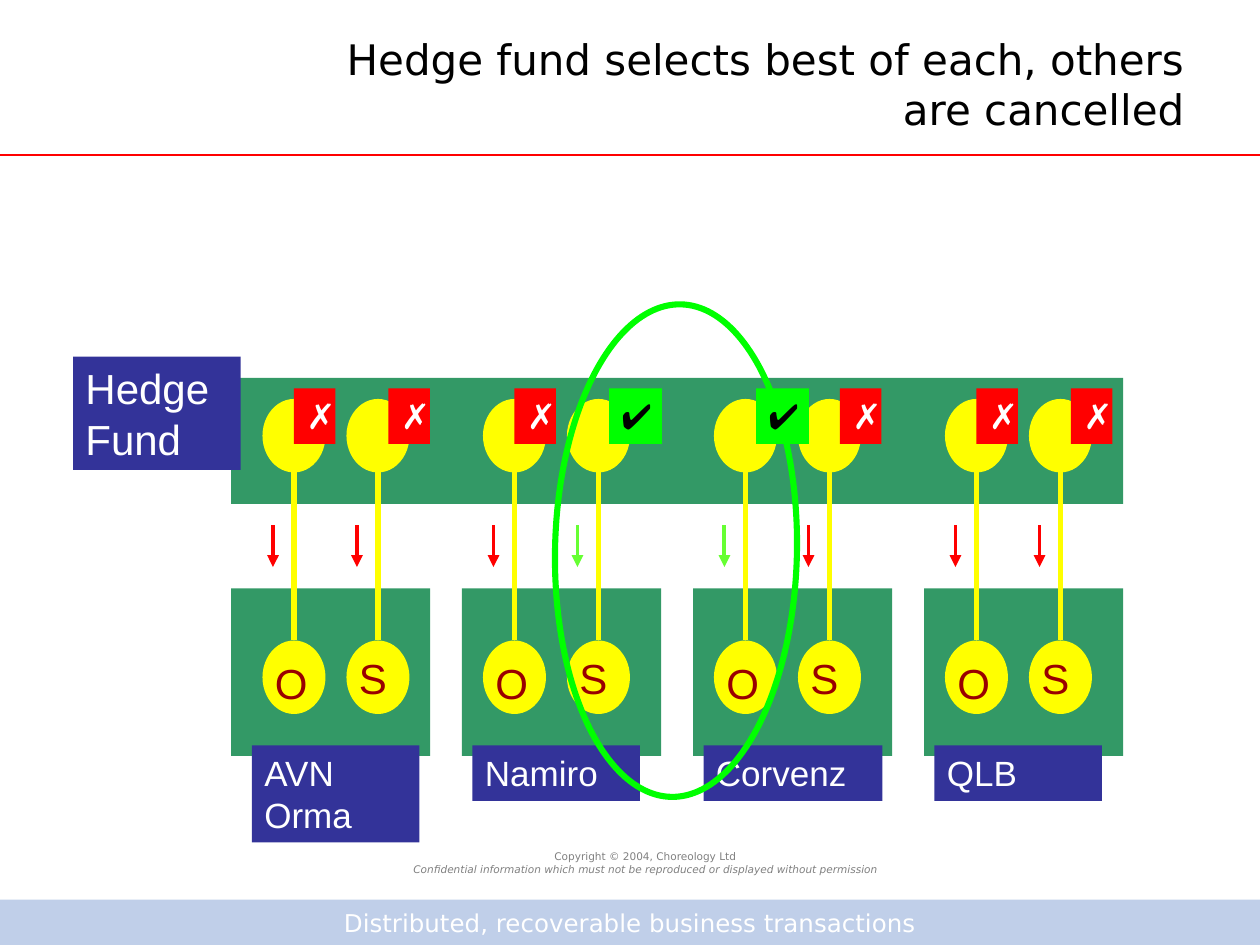
from dataclasses import dataclass
from typing import Optional

from lxml.etree import SubElement
from pptx import Presentation
from pptx.dml.color import RGBColor
from pptx.enum.shapes import MSO_CONNECTOR, MSO_SHAPE
from pptx.enum.text import MSO_ANCHOR, MSO_AUTO_SIZE, PP_ALIGN
from pptx.oxml.ns import qn
from pptx.util import Inches, Pt

RED, GREEN, YELLOW = "FF0000", "00FF00", "FFFF00"
TEAL, NAVY, WHITE, BLACK = "339966", "333399", "FFFFFF", "000000"
UNIT = 1 / 12  # the diagram sits on a grid of twelfths of an inch
DOT_W, DOT_H = 6 * UNIT, 7 * UNIT
UPPER_Y, LOWER_Y = 38 * UNIT, 61 * UNIT
BADGE_Y, BADGE_H = 37 * UNIT, 0.44
LABEL_Y = 71 * UNIT


@dataclass
class Quote:
    letter: str
    letter_y: float
    x: float
    chosen: bool
    badge_dx: float


@dataclass
class Bank:
    name: str
    panel_x: float
    pair_x: float
    label_w: float
    label_h: float
    quotes: list[Quote]


def make_bank(index: int, name: str, pair_col: int, chosen: str = "",
              label_w: float = 1.33, label_h: float = 0.44) -> Bank:
    x = pair_col * UNIT
    option = Quote("O", 5.17, x, chosen == "O", (4 if chosen == "O" else 3) * UNIT)
    stock = Quote("S", 5.13, x + 8 * UNIT, chosen == "S", 4 * UNIT)
    return Bank(name, 22 * (index + 1) * UNIT, x, label_w, label_h, [option, stock])


BANKS = [
    make_bank(0, "AVN Orma", 25, label_h=0.77),
    make_bank(1, "Namiro", 46, chosen="S"),
    make_bank(2, "Corvenz", 68, chosen="O", label_w=1.42),
    make_bank(3, "QLB", 90),
]


def rgb(value: str) -> RGBColor:
    return RGBColor.from_string(value)


def write(p, text: str, size: float, color: str, font: str = "Arial",
          align=PP_ALIGN.LEFT, italic: bool = False) -> None:
    p.alignment = align
    r = p.add_run()
    r.text = text
    r.font.color.rgb = rgb(color)
    for name, value in {"name": font, "size": Pt(size), "italic": italic}.items():
        setattr(r.font, name, value)


def set_frame(tf, anchor=MSO_ANCHOR.TOP) -> None:
    frame = {"word_wrap": True, "auto_size": MSO_AUTO_SIZE.NONE, "vertical_anchor": anchor}
    for name, value in frame.items():
        setattr(tf, name, value)


def add_block(shapes, kind, x: float, y: float, w: float, h: float, fill: Optional[str]):
    sp = shapes.add_shape(kind, Inches(x), Inches(y), Inches(w), Inches(h))
    sp.shadow.inherit = False
    if fill:
        sp.fill.solid()
        sp.fill.fore_color.rgb = rgb(fill)
        sp.line.fill.background()
    else:
        sp.fill.background()
    return sp


def add_label(shapes, x: float, y: float, w: float, h: float,
              fill: str, text: str, size: float, color: str = WHITE) -> None:
    sp = add_block(shapes, MSO_SHAPE.RECTANGLE, x, y, w, h, fill)
    set_frame(sp.text_frame)
    write(sp.text_frame.paragraphs[0], text, size, color)


def add_text(shapes, x: float, y: float, w: float, h: float, anchor=MSO_ANCHOR.TOP):
    tf = shapes.add_textbox(Inches(x), Inches(y), Inches(w), Inches(h)).text_frame
    set_frame(tf, anchor)
    return tf


def add_line(shapes, x1: float, y1: float, x2: float, y2: float,
             color: str, width: float, arrow: bool = False):
    line = shapes.add_connector(MSO_CONNECTOR.STRAIGHT, Inches(x1), Inches(y1),
                                Inches(x2), Inches(y2))
    line.line.color.rgb = rgb(color)
    line.line.width = Pt(width)
    if arrow:
        SubElement(line.line._get_or_add_ln(), qn("a:tailEnd"), type="triangle")
    SubElement(line._element.spPr, qn("a:effectLst"))
    return line


def add_quote(shapes, quote: Quote) -> None:
    """Draw the two linked dots of a quote and its letter."""
    add_block(shapes, MSO_SHAPE.OVAL, quote.x, UPPER_Y, DOT_W, DOT_H, YELLOW)
    dot = add_block(shapes, MSO_SHAPE.OVAL, quote.x, LOWER_Y, DOT_W, DOT_H, YELLOW)
    mid = quote.x + DOT_W / 2
    add_line(shapes, mid, 3.25, mid, LOWER_Y, YELLOW, 3).end_connect(dot, 0)
    tf = add_text(shapes, quote.x, quote.letter_y, 0.33, 0.5)
    write(tf.paragraphs[0], quote.letter, 24, "990000")


def add_badge(shapes, quote: Quote) -> None:
    w, fill, mark, color = ((0.42, GREEN, "✔", BLACK) if quote.chosen
                            else (0.33, RED, "✗", WHITE))
    add_label(shapes, quote.x + quote.badge_dx, BADGE_Y, w, BADGE_H, fill, mark, 20, color)


def add_page_frame(s) -> None:
    """Draw the title, rule, copyright lines and footer band."""
    band = add_block(s.shapes, MSO_SHAPE.RECTANGLE, 0, 7.14, 10, 0.36, "C0CFE9")
    set_frame(band.text_frame, MSO_ANCHOR.MIDDLE)
    write(band.text_frame.paragraphs[0], "Distributed, recoverable business transactions",
          14, WHITE, "DejaVu Sans", PP_ALIGN.CENTER)
    add_line(s.shapes, 0, 1.23, 10, 1.23, RED, 1.5)

    tf = add_text(s.shapes, 2.48, 6.7, 5.28, 0.3, MSO_ANCHOR.MIDDLE)
    write(tf.paragraphs[0], "Copyright © 2004, Choreology Ltd",
          6, "808080", "DejaVu Sans", PP_ALIGN.CENTER)
    write(tf.add_paragraph(),
          "Confidential information which must not be reproduced or displayed without permission",
          6, "808080", "DejaVu Sans", PP_ALIGN.CENTER, italic=True)

    title = s.shapes.title
    place = {"left": 2.24, "top": 0.36, "width": 7.26, "height": 0.61}
    for name, value in place.items():
        setattr(title, name, Inches(value))
    set_frame(title.text_frame, MSO_ANCHOR.MIDDLE)
    write(title.text_frame.paragraphs[0],
          "Hedge fund selects best of each, others are cancelled",
          24, BLACK, "DejaVu Sans", PP_ALIGN.RIGHT)


def add_diagram(shapes) -> None:
    for bank in BANKS:
        add_block(shapes, MSO_SHAPE.RECTANGLE, bank.panel_x, 4.67, 1.58, 1.33, TEAL)
    add_block(shapes, MSO_SHAPE.RECTANGLE, BANKS[0].panel_x, 3, 7.08, 1, TEAL)
    add_label(shapes, 0.58, 2.83, 1.33, 0.9, NAVY, "Hedge Fund", 24)
    for bank in BANKS:
        add_label(shapes, bank.pair_x - UNIT, LABEL_Y, bank.label_w, bank.label_h,
                  NAVY, bank.name, 20)
        group = shapes.add_group_shape()
        for quote in bank.quotes:
            add_quote(group.shapes, quote)

    quotes = [quote for bank in BANKS for quote in bank.quotes]
    for quote in quotes:
        x = quote.x + UNIT
        add_line(shapes, x, 4.17, x, 4.5, "66FF33" if quote.chosen else RED, 2.25, arrow=True)

    ring = add_block(shapes, MSO_SHAPE.OVAL, 3.41, 3.41, 3.91, 1.92, None)
    ring.rotation = 91.1
    ring.line.color.rgb = rgb(GREEN)
    ring.line.width = Pt(3.5)
    for quote in quotes:
        add_badge(shapes, quote)


def main() -> None:
    prs = Presentation()
    prs.slide_width, prs.slide_height = Inches(10), Inches(7.5)
    s = prs.slides.add_slide(prs.slide_layouts[5])
    add_page_frame(s)
    add_diagram(s.shapes)
    prs.save("out.pptx")


if __name__ == "__main__":
    main()
